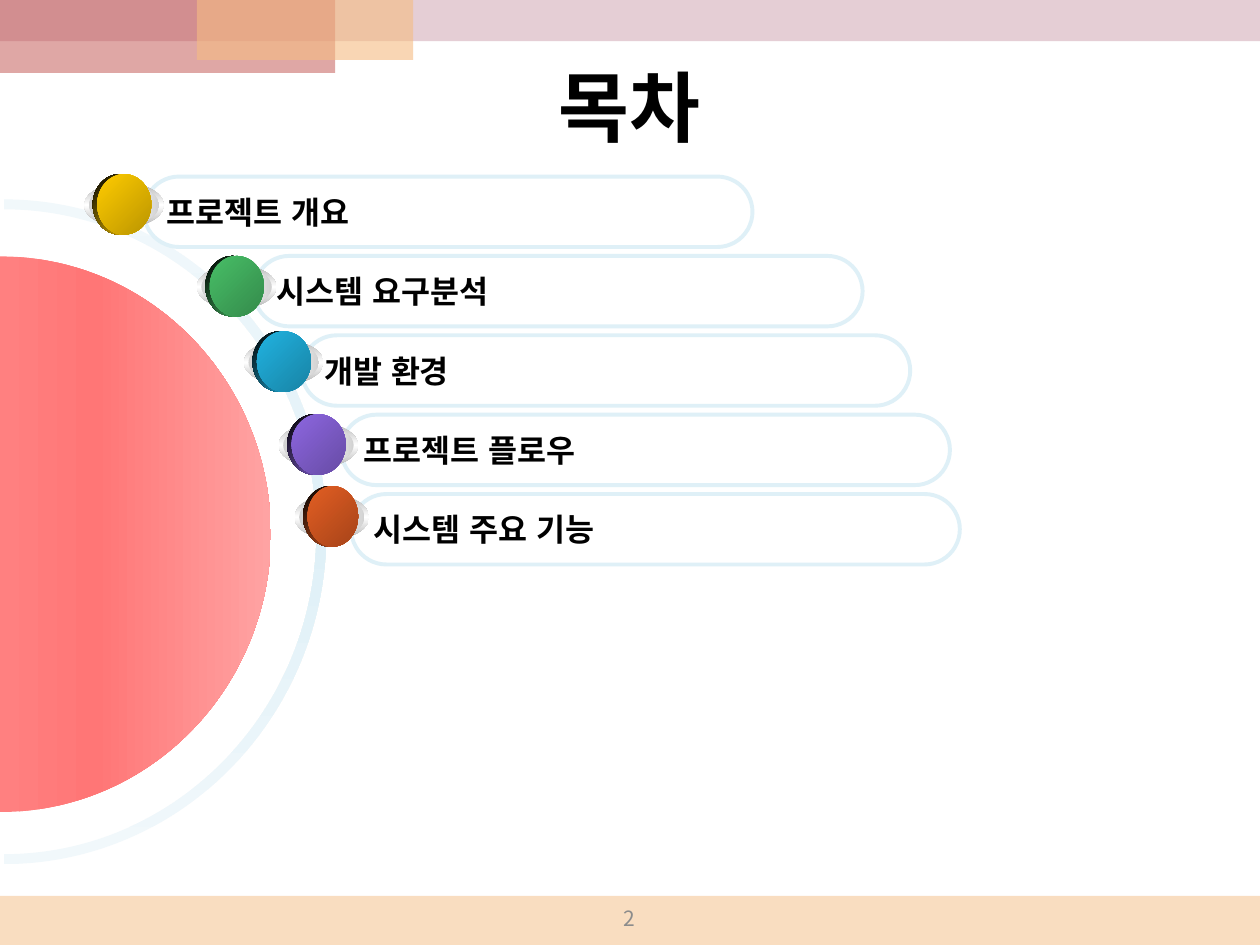
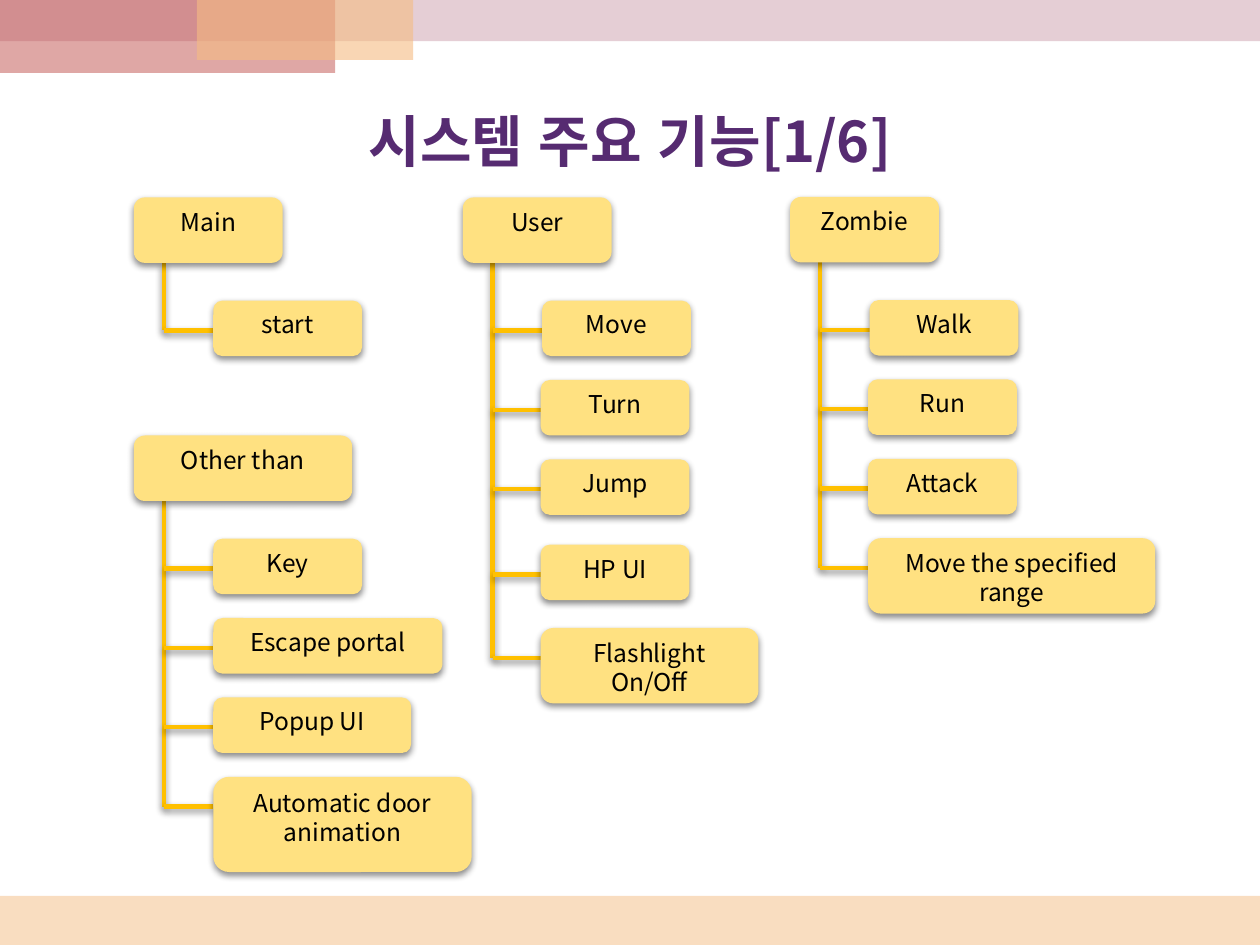
from lxml.etree import SubElement
from pptx import Presentation
from pptx.dml.color import RGBColor
from pptx.enum.lang import MSO_LANGUAGE_ID as Language
from pptx.enum.shapes import MSO_CONNECTOR as Link, MSO_SHAPE as Preset
from pptx.enum.text import MSO_ANCHOR as Anchor, PP_ALIGN as Align
from pptx.oxml.ns import qn
from pptx.util import Cm, Pt

FONT = "Noto Sans CJK KR"
BLACK, WHITE, PURPLE, GREY = "000000", "FFFFFF", "562B71", "8C8C8C"
PALE_BLUE, AMBER, CREAM = "DFF0F7", "FFC000", "FFE181"
BANDS = [
    ((0, 18.06, 25.4, 0.99), "F5BC83", 50),
    ((0, 0, 25.4, 0.83), "CC9EAC", 50),
    ((0, 0, 6.76, 1.47), "C0504D", 50),
    ((3.97, 0, 4.36, 1.21), "F5BC83", 60),
]

AGENDA = [
    ("프로젝트 개요", 2.9, (1.7, 3.51, 1.6), "FFCC00"),
    ("시스템 요구분석", 5.12, (3.97, 5.16, 1.6), "48BE67"),
    ("개발 환경", 6.08, (4.92, 6.68, 1.6), "21B3E1"),
    ("프로젝트 플로우", 6.88, (5.62, 8.35, 1.6), "8D67E1"),
    ("시스템 주요 기능", 7.08, (5.94, 9.8, 1.5), "E35E23"),
]
PILL_TOP, PILL_STEP, PILL_SIZE = 3.56, 1.6, (12.27, 1.42)
CURVE = 0.5523

HEAD_HEIGHT, LEAF_WIDTH, LEAF_HEIGHT = 1.32, 3.0, 1.12
LEAF_INDENT, LEAF_START, LEAF_STEP, LEAF_SHIFT = 1.6, 2.08, 1.6, 0.03
TRUNK_INDENT, BRANCH_DROP = 0.6, 0.6
TREES = [
    ("Main", (2.7, 3.98, 3.0), [("start", {})]),
    ("User", (9.33, 3.98, 3.0), [
        ("Move", {}),
        ("Turn", {"shift": LEAF_SHIFT}),
        ("Jump", {"shift": LEAF_SHIFT}),
        ("HP UI", {"shift": LEAF_SHIFT, "nudge": 0.12}),
        ("Flashlight On/Off",
         {"shift": LEAF_SHIFT, "nudge": 0.2, "width": 4.39, "height": 1.52}),
    ]),
    ("Zombie", (15.93, 3.97, 3.0), [
        ("Walk", {}),
        ("Run", {"shift": LEAF_SHIFT}),
        ("Attack", {"shift": LEAF_SHIFT}),
        ("Move the specified range",
         {"shift": LEAF_SHIFT, "width": 5.79, "height": 1.52}),
    ]),
    ("Other than", (2.7, 8.78, 4.4), [
        ("Key", {}), ("Escape portal", {"width": 4.62}),
        ("Popup UI", {"width": 3.99}),
        ("Automatic door animation", {"width": 5.21, "height": 1.92}),
    ]),
]


def color(hex_value):
    """Turn a hex string into a colour."""
    return RGBColor.from_string(hex_value)


def write(shape, text, hex_value, align=Align.CENTER, anchor=Anchor.MIDDLE, **font):
    """Put one formatted paragraph into a shape."""
    frame = shape.text_frame
    frame.word_wrap, frame.vertical_anchor = True, anchor
    paragraph = frame.paragraphs[0]
    paragraph.alignment = align
    run = paragraph.add_run()
    run.text = text
    for name, value in {"name": FONT, "language_id": Language.KOREAN, **font}.items():
        setattr(run.font, name, value)
    run.font.color.rgb = color(hex_value)
    SubElement(run._r.rPr, qn("a:ea"), typeface=FONT)


def add_preset(shapes, preset, box, hex_value=None, alpha=None):
    """Add a preset shape without outline, filled if a colour is given."""
    shape = shapes.add_shape(preset, *map(Cm, box))
    shape.line.fill.background()
    if hex_value:
        shape.fill.solid()
        shape.fill.fore_color.rgb = color(hex_value)
    else:
        shape.fill.background()
    if alpha:
        tint = shape.element.spPr.find(".//" + qn("a:srgbClr"))
        SubElement(tint, qn("a:alpha"), val=str(alpha * 1000))
    return shape


def shade(shape, stops, angle):
    """Fill a shape with a gradient of (percent, hex, shade percent) stops."""
    shape.shadow.inherit = False
    shape.line.fill.background()
    shape.fill.gradient()
    shape.fill.gradient_angle = -angle % 360
    stop_list = shape.element.spPr.find(".//" + qn("a:gsLst"))
    for stop in list(stop_list):
        stop_list.remove(stop)
    for percent, hex_value, *depth in stops:
        stop = SubElement(stop_list, qn("a:gs"), pos=str(percent * 1000))
        tint = SubElement(stop, qn("a:srgbClr"), val=hex_value)
        for value in depth:
            SubElement(tint, qn("a:shade"), val=str(value * 1000))


def cast_shadow(item):
    """Give a shape or connector the soft shadow below it."""
    effects = SubElement(item.element.spPr, qn("a:effectLst"))
    shadow = SubElement(effects, qn("a:outerShdw"), blurRad=str(Pt(4)),
                        dist=str(Pt(2)), dir="5400000", rotWithShape="0")
    tint = SubElement(shadow, qn("a:srgbClr"), val=BLACK)
    SubElement(tint, qn("a:alpha"), val="45000")


def add_bands(layout, slide):
    """Build the header and footer bands and move them behind the layout."""
    for depth, (box, hex_value, alpha) in enumerate(BANDS):
        band = add_preset(slide.shapes, Preset.RECTANGLE, box, hex_value, alpha)
        band.shadow.inherit = False
        layout.shapes.element.insert(2 + depth, band.element)


def add_title(slide, text, box, hex_value, size):
    """Place and format the title placeholder."""
    title = slide.shapes.title
    for side, value in zip(("left", "top", "width", "height"), box):
        setattr(title, side, Cm(value))
    write(title, text, hex_value, size=Pt(size), bold=True)


def half_ellipse(center_x, center_y, radius_x, radius_y):
    """List ends and handles of a right-hand half ellipse from top to bottom."""
    unit = [(0, -1), (CURVE, -1), (1, -CURVE), (1, 0), (1, CURVE), (CURVE, 1), (0, 1)]
    return [(Cm(center_x + radius_x * x), Cm(center_y + radius_y * y)) for x, y in unit]


def add_outline(slide, arcs, stops, angle):
    """Draw a closed outline of curved arcs with a gradient fill."""
    points = [point for arc in arcs for point in arc]
    builder = slide.shapes.build_freeform(*points[0], scale=1.0)
    builder.add_line_segments(points[1:], close=True)
    outline = builder.convert_to_shape()
    segments = outline.element.spPr.findall(".//" + qn("a:lnTo"))
    for start in range(0, len(segments), 7):
        for first in (start, start + 3):
            curve, *handles = segments[first:first + 3]
            curve.tag = qn("a:cubicBezTo")
            for handle in handles:
                curve.append(handle[0])
                handle.getparent().remove(handle)
    shade(outline, stops, angle)


def add_half_disc(slide):
    """Draw the pale ring and the red half disc at the left edge."""
    ring = [half_ellipse(0.08, 10.72, 6.5, 6.7),
            half_ellipse(0.08, 10.72, 6.3, 6.5)[::-1]]
    add_outline(slide, ring, [(0, "F1F8FB"), (50, PALE_BLUE), (100, "F1F8FB")], 90)
    disc = [half_ellipse(0, 10.77, 5.46, 5.6)]
    add_outline(slide, disc, [(0, "FF8080"), (35, "FF7676"), (100, "FFA3A3")], 0)


def add_pill(slide, text, left, top):
    """Draw one outlined agenda entry."""
    pill = add_preset(slide.shapes, Preset.ROUNDED_RECTANGLE, (left, top, *PILL_SIZE))
    pill.shadow.inherit = False
    pill.adjustments[0] = 0.5
    pill.line.color.rgb = color(PALE_BLUE)
    pill.line.width = Pt(2.25)
    write(pill, text, BLACK, Align.LEFT, size=Pt(18), bold=True)


def add_orb(slide, left, top, width, hex_value):
    """Draw a coloured ball inside a silver halo."""
    group = slide.shapes.add_group_shape()
    layers = [
        ((0, 0.18, width, 0.89), [(0, WHITE, 46), (50, WHITE), (100, WHITE, 46)], 90),
        ((0.09, 0.23, width - 0.18, 0.79),
         [(0, WHITE, 64), (50, WHITE), (100, WHITE, 64)], 0),
        ((0.17, 0, 1.09, 1.22), [(0, BLACK), (100, hex_value)], 45),
        ((0.26, 0, min(1.09, width - 0.48), 1.22),
         [(0, hex_value), (100, hex_value, 49)], 45),
    ]
    for (x, y, *size), stops, angle in layers:
        layer = add_preset(group.shapes, Preset.OVAL, (left + x, top + y, *size))
        shade(layer, stops, angle)


def add_agenda(slide):
    """Build the table of contents slide."""
    add_title(slide, "목차", (1.37, 0.86, 22.63, 2.54), BLACK, 44)
    number = slide.shapes.add_textbox(*map(Cm, (9.73, 18.16, 5.92, 0.69)))
    write(number, "2", GREY, size=Pt(12))
    add_half_disc(slide)
    for row, (text, left, _, _) in enumerate(AGENDA):
        add_pill(slide, text, left, PILL_TOP + row * PILL_STEP)
    for _, _, place, hex_value in AGENDA:
        add_orb(slide, *place, hex_value)


def add_link(slide, *ends):
    """Draw one amber tree line."""
    link = slide.shapes.add_connector(Link.STRAIGHT, *map(Cm, ends))
    link.line.color.rgb = color(AMBER)
    link.line.width = Pt(2.5)
    cast_shadow(link)


def add_node(slide, text, *box):
    """Draw one cream tree box."""
    node = add_preset(slide.shapes, Preset.ROUNDED_RECTANGLE, box, CREAM)
    cast_shadow(node)
    write(node, text, BLACK, anchor=Anchor.TOP, size=Pt(14))


def add_tree(slide, head, place, leaves):
    """Draw a head box with its leaves hanging from a trunk."""
    left, top, width = place
    trunk = left + TRUNK_INDENT
    corners = [(left + LEAF_INDENT - style.get("shift", 0),
                top + LEAF_START + row * LEAF_STEP + style.get("nudge", 0))
               for row, (_, style) in enumerate(leaves)]
    add_link(slide, trunk, top + HEAD_HEIGHT, trunk, corners[-1][1] + BRANCH_DROP)
    for leaf_left, leaf_top in corners:
        branch = leaf_top + BRANCH_DROP
        add_link(slide, leaf_left, branch, trunk, branch)
    add_node(slide, head, left, top, width, HEAD_HEIGHT)
    for corner, (text, style) in zip(corners, leaves):
        add_node(slide, text, *corner, style.get("width", LEAF_WIDTH),
                 style.get("height", LEAF_HEIGHT))


def add_features(slide):
    """Build the slide of feature trees."""
    add_title(slide, "시스템 주요 기능[1/6]", (1.27, 1.49, 22.86, 2.67), PURPLE, 32)
    for head, place, leaves in TREES:
        add_tree(slide, head, place, leaves)


def main():
    """Build and save the presentation."""
    deck = Presentation()
    deck.slide_width, deck.slide_height = Cm(25.4), Cm(19.05)
    layout = deck.slide_layouts[5]
    agenda, features = (deck.slides.add_slide(layout) for _ in range(2))
    add_bands(layout, agenda)
    add_agenda(agenda)
    add_features(features)
    deck.save("out.pptx")


if __name__ == "__main__":
    main()
